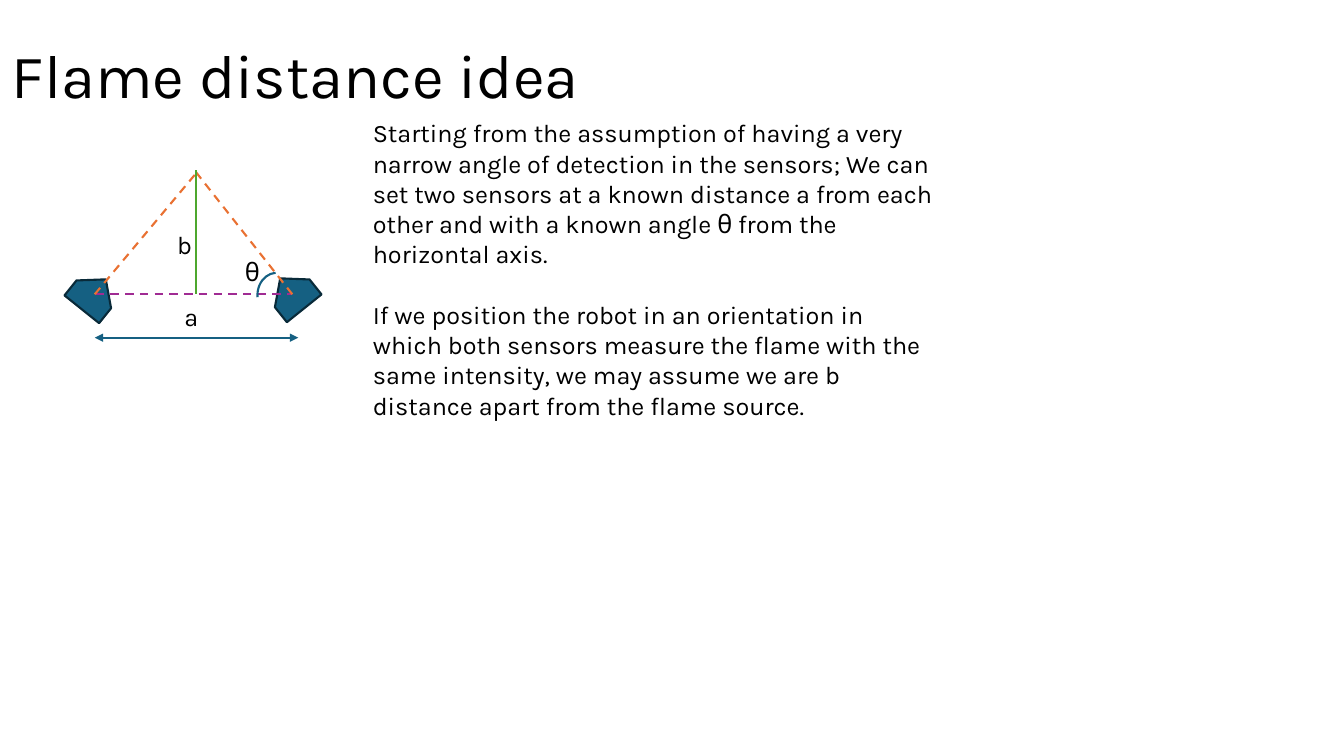
"""Build the flame distance slide: a two-sensor triangulation sketch with its explanation."""
import pptx
import pptx.util
import pptx.dml.color
import pptx.enum.dml
import pptx.enum.shapes
import pptx.enum.text
import pptx.oxml.ns
from lxml import etree
from pptx.util import Pt

SHAPE = pptx.enum.shapes.MSO_SHAPE
ANCHOR = pptx.enum.text.MSO_ANCHOR
FONT = "Karla"
COLORS = {
    "text": "000000",
    "sensor": "156082",
    "sensor_edge": "092A39",
    "baseline": "A02B93",
    "ray": "E97132",
    "height": "4EA72E",
}
BODY = [
    "Starting from the assumption of having a very narrow angle of detection in the sensors; "
    "We can set two sensors at a known distance a from each other and with a known angle θ "
    "from the horizontal axis.",
    "If we position the robot in an orientation in which both sensors measure the flame with "
    "the same intensity, we may assume we are b distance apart from the flame source.",
]


def rgb(name):
    return pptx.dml.color.RGBColor.from_string(COLORS[name])


def add_sub(parent, tag, **attrs):
    return etree.SubElement(parent, pptx.oxml.ns.qn(tag), **attrs)


def set_line(sp, color):
    sp.line.color.rgb = rgb(color)
    sp.line.width = Pt(1.5)


def add_text(s, x, y, w, h, paragraphs, size=18, wrap=True, anchor=ANCHOR.TOP, spacing=1.0, gap=0):
    sp = s.shapes.add_textbox(Pt(x), Pt(y), Pt(w), Pt(h))
    tf = sp.text_frame
    tf.word_wrap = wrap
    tf.vertical_anchor = anchor
    for i, text in enumerate(paragraphs):
        p = tf.add_paragraph() if i else tf.paragraphs[0]
        p.line_spacing = spacing
        p.space_before = Pt(gap if i else 0)
        r = p.add_run()
        r.text = text
        r.font.name = FONT
        r.font.size = Pt(size)
        r.font.color.rgb = rgb("text")


def add_preset(s, kind, x, y, w, h, rotation, line, fill=None, flip=False):
    sp = s.shapes.add_shape(kind, Pt(x), Pt(y), Pt(w), Pt(h))
    sp.shadow.inherit = False
    sp.rotation = rotation
    set_line(sp, line)
    if fill:
        sp.fill.solid()
        sp.fill.fore_color.rgb = rgb(fill)
    else:
        sp.fill.background()
    if flip:
        sp._element.spPr.xfrm.set("flipH", "1")


def add_line(s, x1, y1, x2, y2, color, dashed=False, arrows=False):
    straight = pptx.enum.shapes.MSO_CONNECTOR.STRAIGHT
    sp = s.shapes.add_connector(straight, Pt(x1), Pt(y1), Pt(x2), Pt(y2))
    set_line(sp, color)
    if dashed:
        sp.line.dash_style = pptx.enum.dml.MSO_LINE.DASH
    if arrows:
        for end in ("a:headEnd", "a:tailEnd"):
            add_sub(sp.line._get_or_add_ln(), end, type="triangle")
    add_sub(sp._element.spPr, "a:effectLst")


def add_sketch(s):
    tilt = 51.3
    flame_y, base_y = 121.7, 210.2
    add_preset(s, SHAPE.PENTAGON, 53.3, 194.4, 27.4, 31.7, 360 - tilt, "sensor_edge", "sensor")
    add_preset(s, SHAPE.PENTAGON, 195.1, 193.7, 27.4, 31.7, tilt, "sensor_edge", "sensor", flip=True)
    add_line(s, 68.4, base_y, 208.8, base_y, "baseline", dashed=True)
    add_line(s, 208.8, base_y, 139, flame_y, "ray", dashed=True)
    add_line(s, 67.7, base_y, 141.8, flame_y, "ray", dashed=True)
    add_line(s, 139.7, flame_y, 139.7, base_y, "height")
    add_text(s, 167.8, 179.3, 24.5, 28.8, ["θ"], wrap=False)
    add_preset(s, SHAPE.ARC, 181.4, 197.3, 33.1, 28.1, 266.2, "sensor")
    add_text(s, 124.6, 211.7, 61.2, 28.8, ["a"])
    add_text(s, 119.5, 160.6, 24.5, 28.8, ["b"], wrap=False)
    add_line(s, 67.7, 241.2, 213.1, 241.2, "sensor", arrows=True)


def main():
    prs = pptx.Presentation()
    prs.slide_width, prs.slide_height = Pt(960), Pt(540)
    s = prs.slides.add_slide(prs.slide_layouts[6])
    add_text(s, 1.4, 3.6, 828, 104.4, ["Flame distance idea"], size=44,
             anchor=ANCHOR.MIDDLE, spacing=0.9)
    add_sketch(s)
    add_text(s, 259.2, 80.6, 418.3, 203.8, BODY, gap=21.6)
    prs.save("out.pptx")


if __name__ == "__main__":
    main()
